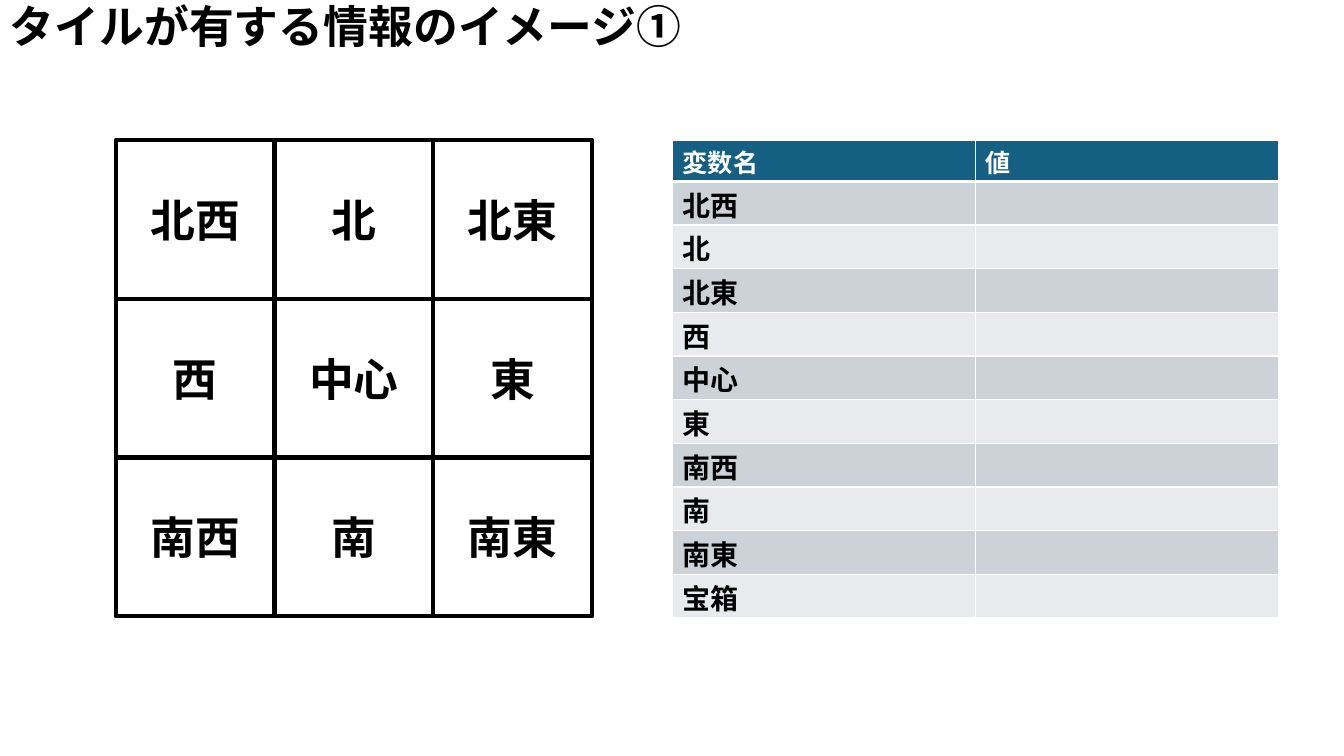
from lxml import etree
from pptx import Presentation
from pptx.dml.color import RGBColor
from pptx.enum.shapes import MSO_SHAPE
from pptx.enum.text import MSO_ANCHOR, PP_ALIGN
from pptx.oxml.ns import qn
from pptx.util import Cm, Pt

RECTANGLE = MSO_SHAPE.RECTANGLE
MIDDLE, TOP = MSO_ANCHOR.MIDDLE, MSO_ANCHOR.TOP
CENTER, LEFT = PP_ALIGN.CENTER, PP_ALIGN.LEFT

BLACK = RGBColor(0x00, 0x00, 0x00)
WHITE = RGBColor(0xFF, 0xFF, 0xFF)
HEADER_BLUE = RGBColor(0x15, 0x60, 0x82)
BAND_DARK = RGBColor(0xCC, 0xD2, 0xD8)
BAND_LIGHT = RGBColor(0xE8, 0xEA, 0xED)

DIRECTIONS = [
    ["北西", "北", "北東"],
    ["西", "中心", "東"],
    ["南西", "南", "南東"],
]


class TileSlide:
    font = "Noto Sans CJK JP"
    tight_line = 0.83
    top_margin, bottom_margin = Cm(0.2), Cm(0.05)

    def __init__(self, slide):
        self.slide = slide

    def set_text(self, frame, text, size, color=BLACK, align=LEFT, spacing=None):
        frame.text = text
        paragraph = frame.paragraphs[0]
        paragraph.alignment = align
        paragraph.line_spacing = spacing
        for run in paragraph.runs:
            run.font.name = self.font
            run.font.size = Pt(size)
            run.font.bold = True
            run.font.color.rgb = color
            east_asian = etree.SubElement(run.font._element, qn("a:ea"))
            east_asian.set("typeface", self.font)

    def title(self, text):
        box = self.slide.shapes.add_textbox(0, 0, Cm(17.83), Cm(1.62))
        frame = box.text_frame
        frame.word_wrap = True
        frame.margin_top, frame.margin_bottom = self.top_margin, self.bottom_margin
        self.set_text(frame, text, 32, spacing=self.tight_line)

    def tile_grid(self, labels, left, top, side):
        """Draw square tiles edge to edge in one group; lengths in cm."""
        group = self.slide.shapes.add_group_shape()
        for row, row_labels in enumerate(labels):
            for column, label in enumerate(row_labels):
                tile = group.shapes.add_shape(
                    RECTANGLE, Cm(left + column * side), Cm(top + row * side),
                    Cm(side), Cm(side))
                tile.shadow.inherit = False
                tile.fill.background()
                tile.line.color.rgb = BLACK
                tile.line.width = Pt(3)
                tile.text_frame.vertical_anchor = MIDDLE
                self.set_text(tile.text_frame, label, 32, align=CENTER)

    def cell_borders(self, cell, widths):
        """Add white borders; widths maps a side (L, R, T, B) to points."""
        properties = cell._tc.get_or_add_tcPr()
        for position, (side, width) in enumerate(widths.items()):
            border = etree.Element(qn(f"a:ln{side}"), w=str(Pt(width)))
            fill = etree.SubElement(border, qn("a:solidFill"))
            etree.SubElement(fill, qn("a:srgbClr"), val=str(WHITE))
            properties.insert(position, border)

    def variable_table(self, headings, variables, left, top, width):
        rows = [headings] + [[variable, ""] for variable in variables]
        header_height, body_height = 1.04, 1.1
        height = header_height + body_height * len(variables)
        table = self.slide.shapes.add_table(
            len(rows), len(headings), Cm(left), Cm(top), Cm(width), Cm(height)).table
        for column in table.columns:
            column.width = Cm(width / len(headings))
        for index, texts in enumerate(rows):
            is_header = index == 0
            table.rows[index].height = Cm(header_height if is_header else body_height)
            band = BAND_DARK if index % 2 else BAND_LIGHT
            for column, text in enumerate(texts):
                cell = table.cell(index, column)
                cell.fill.solid()
                cell.fill.fore_color.rgb = HEADER_BLUE if is_header else band
                cell.vertical_anchor = TOP
                cell.margin_top, cell.margin_bottom = self.top_margin, self.bottom_margin
                self.set_text(cell.text_frame, text, 18 if is_header else 20,
                              WHITE if is_header else BLACK, spacing=self.tight_line)
                self.cell_borders(cell, {"L": 1, "R": 1, "T": 3 if index == 1 else 1,
                                         "B": 3 if is_header else 1})


def main():
    presentation = Presentation()
    presentation.slide_width, presentation.slide_height = Cm(33.87), Cm(19.05)
    page = TileSlide(presentation.slides.add_slide(presentation.slide_layouts[6]))

    page.tile_grid(DIRECTIONS, left=2.92, top=3.53, side=4)
    page.title("タイルが有する情報のイメージ①")
    variables = [label for row in DIRECTIONS for label in row] + ["宝箱"]
    page.variable_table(["変数名", "値"], variables, left=16.95, top=3.53, width=15.28)

    presentation.save("out.pptx")


if __name__ == "__main__":
    main()
